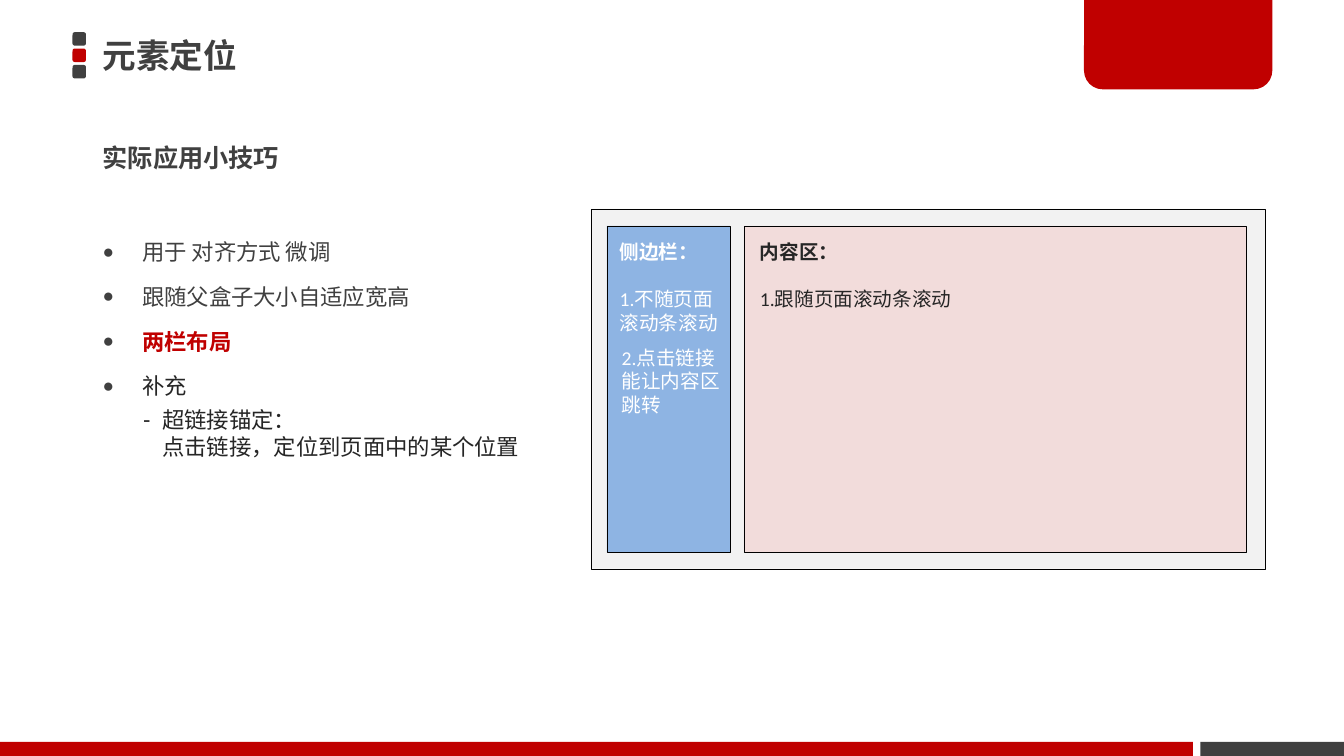
from lxml import etree
from pptx import Presentation
from pptx.dml import color as dml
from pptx.enum import shapes, text
from pptx.oxml import ns
from pptx.util import Pt

COLORS = {"red": "C00000", "dark": "404040", "ink": "262626", "white": "FFFFFF",
          "black": "000000", "frame": "F2F2F2", "sidebar": "8EB4E3", "content": "F2DCDB"}
CJK = "Noto Sans CJK JP"

TITLE = "元素定位"
SUBTITLE = "实际应用小技巧"
# text, colour, bold, level
BULLETS = [
    ("用于 对齐方式 微调", "dark", False, 0),
    ("跟随父盒子大小自适应宽高", "dark", False, 0),
    ("两栏布局", "red", True, 0),
    ("补充", "ink", False, 0),
    ("超链接锚定：\v点击链接，定位到页面中的某个位置", "ink", False, 1),
]
# bullet character, left margin, hanging indent, line spacing for each level
LEVELS = [("●", 28.1, -28.1, 1.5), ("-", 42.5, -13.7, 1.0)]
# left, top, width, height, fill
PANELS = [
    (422, 149.3, 481.7, 257, "frame"),
    (433.5, 161.3, 88, 233.3, "sidebar"),
    (531.4, 161.3, 358.6, 233.3, "content"),
]
# left, top, width, height, colour, heading, lines
NOTES = [
    (435.6, 167.8, 86.4, 75, "white", "侧边栏：", ["1.不随页面", "滚动条滚动"]),
    (535.7, 167.8, 183.6, 58, "ink", "内容区：", ["1.跟随页面滚动条滚动"]),
    (437, 243.4, 86.4, 58, "white", None, ["2.点击链接能让内容区跳转"]),
]
HEADING_GAP = 17

deck = Presentation()
deck.slide_width, deck.slide_height = Pt(960), Pt(540)
page = deck.slides.add_slide(deck.slide_layouts[3])


def rgb(name):
    return dml.RGBColor.from_string(COLORS[name])


def place(box, left, top, width, height):
    box.left, box.top, box.width, box.height = (Pt(v) for v in (left, top, width, height))


def add_block(kind, left, top, width, height, fill, line=None):
    block = page.shapes.add_shape(kind, Pt(left), Pt(top), Pt(width), Pt(height))
    block.shadow.inherit = False
    block.fill.solid()
    block.fill.fore_color.rgb = rgb(fill)
    if line:
        block.line.color.rgb = rgb(line)
        block.line.width = Pt(0.25)
    else:
        block.line.fill.background()
    return block


def style(para, size, color, bold=False, font=CJK):
    for span in para.runs:
        span.font.size, span.font.bold, span.font.name = Pt(size), bold, font
        span.font.color.rgb = rgb(color)
        latin = span.font._element.find(ns.qn("a:latin"))
        latin.addnext(etree.Element(ns.qn("a:ea"), typeface=CJK))


def set_bullet(para, level):
    mark, margin, indent, spacing = LEVELS[level]
    para.level, para.line_spacing = level, spacing
    props = para._p.get_or_add_pPr()
    props.set("marL", str(Pt(margin)))
    props.set("indent", str(Pt(indent)))
    if level == 0:
        tint = etree.SubElement(props, ns.qn("a:buClr"))
        etree.SubElement(tint, ns.qn("a:srgbClr"), val=COLORS["dark"])
        etree.SubElement(props, ns.qn("a:buSzPct"), val="85000")
    etree.SubElement(props, ns.qn("a:buChar"), char=mark)


# Title marker, corner tab and footer bars
for row, fill in enumerate(("dark", "red", "dark")):
    add_block(shapes.MSO_SHAPE.ROUNDED_RECTANGLE, 51.8, 23 + 11.7 * row, 9.6, 9.6, fill)
tab = add_block(shapes.MSO_SHAPE.ROUND_2_SAME_RECTANGLE, 774.3, 0, 134.5, 63.8, "red")
tab.adjustments[0], tab.adjustments[1] = 0, 0.21
add_block(shapes.MSO_SHAPE.RECTANGLE, 0, 530, 852, 10, "red")
add_block(shapes.MSO_SHAPE.RECTANGLE, 857.5, 530, 102.5, 10, "dark")

# Title, subtitle and bullet list
title, subtitle, listing = page.placeholders
place(title, 66.2, 18.7, 690.5, 41)
place(subtitle, 66.2, 92.2, 229.7, 41)
place(listing, 66.2, 157, 319.7, 179.3)
for box, words, size in ((title, TITLE, 24), (subtitle, SUBTITLE, 18)):
    frame = box.text_frame
    frame.text = words
    frame.auto_size = text.MSO_AUTO_SIZE.NONE
    frame.vertical_anchor = text.MSO_ANCHOR.MIDDLE
    frame.paragraphs[0].alignment = text.PP_ALIGN.LEFT
    style(frame.paragraphs[0], size, "dark", True)
props = subtitle.text_frame.paragraphs[0]._p.get_or_add_pPr()
props.set("marL", "0")
props.set("indent", "0")
etree.SubElement(props, ns.qn("a:buNone"))

frame = listing.text_frame
frame.text = "\n".join(item[0] for item in BULLETS)
frame.auto_size = text.MSO_AUTO_SIZE.NONE
for para, (_, color, bold, level) in zip(frame.paragraphs, BULLETS):
    set_bullet(para, level)
    style(para, 16, color, bold, "Arial")

# Two-column layout diagram
for *bounds, fill in PANELS:
    add_block(shapes.MSO_SHAPE.RECTANGLE, *bounds, fill, "black")
for left, top, width, height, color, heading, lines in NOTES:
    frame = page.shapes.add_textbox(Pt(left), Pt(top), Pt(width), Pt(height)).text_frame
    frame.word_wrap = True
    frame.text = "\n".join([heading] + lines if heading else lines)
    for para in frame.paragraphs:
        style(para, 14, color, para.text == heading, "Calibri")
    if heading:
        frame.paragraphs[0].space_after = Pt(HEADING_GAP)

deck.save("out.pptx")
